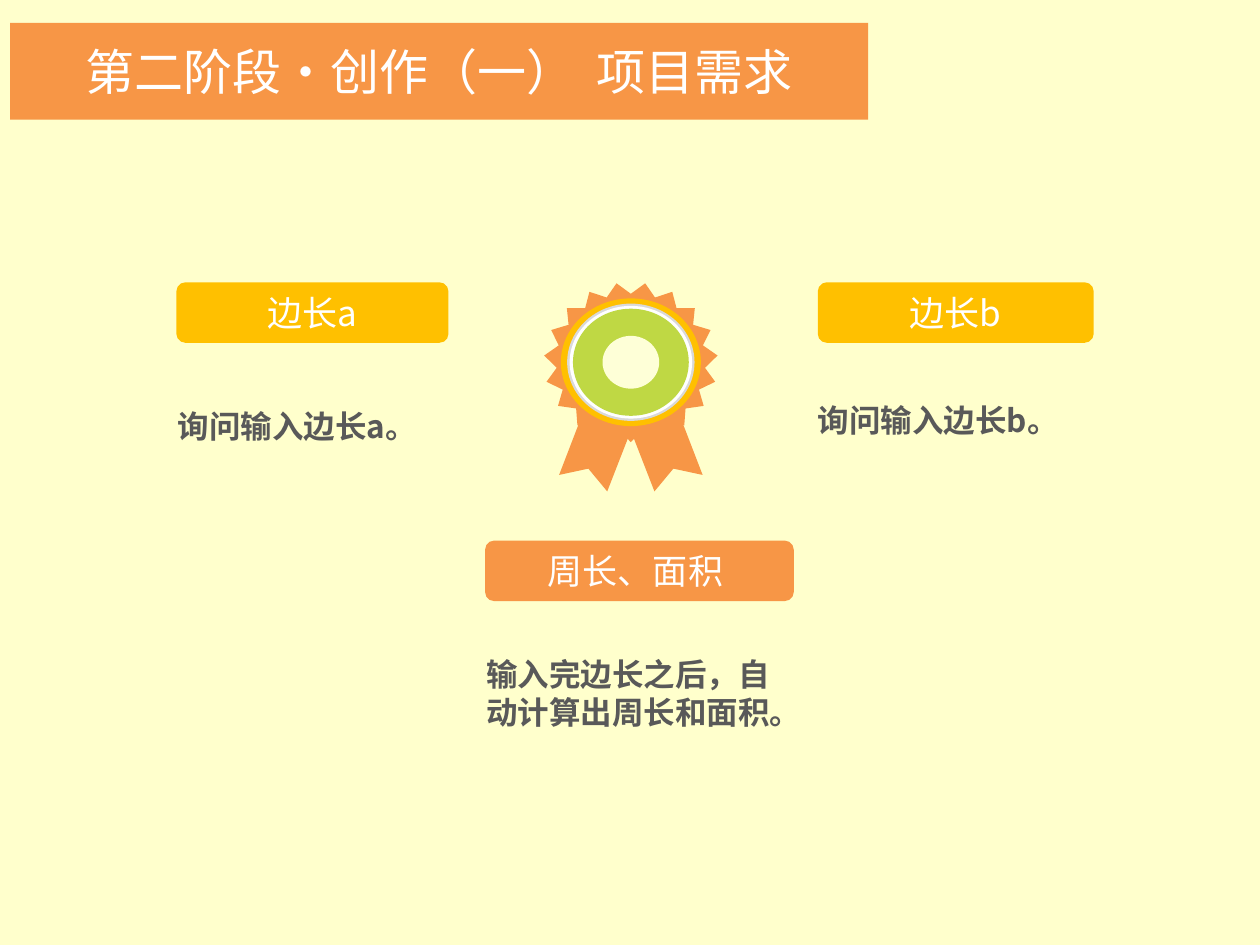
from dataclasses import dataclass, field
from math import cos, pi, sin

from lxml.etree import SubElement
from pptx import Presentation
from pptx.dml.color import RGBColor
from pptx.enum.shapes import MSO_SHAPE as Preset
from pptx.enum.text import MSO_ANCHOR as Anchor, MSO_AUTO_SIZE as AutoSize, PP_ALIGN as Align
from pptx.oxml.ns import qn
from pptx.util import Pt

COLORS = {
    "cream": "FFFFCC", "orange": "F79646", "yellow": "FFC000", "grey": "D9D9D9",
    "white": "FFFFFF", "green": "BFD844", "ivory": "FEFFD7", "text": "595959",
}


def color(name):
    return RGBColor.from_string(COLORS[name])


def write(box, text, size=18, ink="white", bold=False, align=Align.CENTER,
          anchor=Anchor.MIDDLE, inset=0, font="Noto Sans CJK SC"):
    frame = box.text_frame
    frame.word_wrap = True
    frame.auto_size = AutoSize.NONE
    frame.vertical_anchor = anchor
    frame.margin_left = frame.margin_right = Pt(inset)
    frame.margin_top = frame.margin_bottom = Pt(inset)
    para = frame.paragraphs[0]
    para.alignment = align
    span = para.add_run()
    span.text = text
    span.font.size = Pt(size)
    span.font.bold = bold
    span.font.name = font
    span.font.color.rgb = color(ink)
    SubElement(span.font._element, qn("a:ea"), typeface=font)


@dataclass
class Board:
    """The current slide and the style its elements share."""
    page: object
    corner: float = 0.15
    center: tuple = (360.5, 207)
    label_size: tuple = field(default=(20, 34.6))

    def background(self, name):
        fill = self.page.background.fill
        fill.solid()
        fill.fore_color.rgb = color(name)

    def paint(self, shape, name):
        shape.shadow.inherit = False
        shape.fill.solid()
        shape.fill.fore_color.rgb = color(name)
        shape.line.fill.background()

    def title(self, text, left, top, width, height):
        box = self.page.shapes.title
        box.left, box.top, box.width, box.height = map(Pt, (left, top, width, height))
        geometry = SubElement(box._element.spPr, qn("a:prstGeom"), prst="roundRect")
        guides = SubElement(geometry, qn("a:avLst"))
        SubElement(guides, qn("a:gd"), name="adj", fmla=f"val {self.corner * 100000:.0f}")
        box.fill.solid()
        box.fill.fore_color.rgb = color("orange")
        write(box, text, size=28, inset=4.5)

    def label(self, text, left, top, width, fill):
        size, height = self.label_size
        box = self.page.shapes.add_shape(
            Preset.ROUNDED_RECTANGLE, Pt(left), Pt(top), Pt(width), Pt(height))
        box.adjustments[0] = self.corner
        self.paint(box, fill)
        write(box, text, size=size)

    def body(self, text, left, top, width=176.4, lines=1):
        box = self.page.shapes.add_textbox(
            Pt(left), Pt(top), Pt(width), Pt(22 * lines))
        write(box, text, ink="text", bold=True, align=Align.LEFT, anchor=Anchor.TOP)

    def disc(self, radius_x, radius_y, fill):
        x, y = self.center
        shape = self.page.shapes.add_shape(
            Preset.OVAL, Pt(x - radius_x), Pt(y - radius_y),
            Pt(2 * radius_x), Pt(2 * radius_y))
        self.paint(shape, fill)

    def outline(self, offsets, fill):
        """Draw a closed polygon from offsets to the medal's centre."""
        x, y = self.center
        points = [(Pt(x + dx), Pt(y + dy)) for dx, dy in offsets]
        builder = self.page.shapes.build_freeform(*points[0], scale=1.0)
        builder.add_line_segments(points[1:], close=True)
        self.paint(builder.convert_to_shape(), fill)

    def medal(self, tips=19, radius_x=49.7, radius_y=45.7, notch=0.855):
        ribbon = [(-41, 64.4), (-23, 17.6), (5, 26.3), (-13.5, 73.8), (-24.3, 60.8)]
        for side in (1, -1):
            self.outline([(side * dx, dy) for dx, dy in ribbon], "orange")
        seal = []
        for step in range(2 * tips):
            angle = pi * step / tips
            reach = notch if step % 2 else 1
            seal.append((reach * radius_x * sin(angle), reach * radius_y * cos(angle)))
        self.outline(seal, "orange")
        for rx, ry, fill in [(40, 36.5, "yellow"), (36.4, 33.5, "grey"),
                             (35, 32.2, "white"), (33.1, 30.6, "green"),
                             (16.2, 15.1, "ivory")]:
            self.disc(rx, ry, fill)


def main():
    deck = Presentation()
    deck.slide_width, deck.slide_height = Pt(720), Pt(540)
    board = Board(deck.slides.add_slide(deck.slide_layouts[5]))
    board.background("cream")
    board.title("第二阶段·创作（一）  项目需求", 5.8, 13, 490.3, 55.4)
    board.medal()
    board.label("边长a", 100.8, 161.3, 155.5, "yellow")
    board.body("询问输入边长a。", 101.5, 232.6)
    board.label("边长b", 467.3, 161.3, 157.7, "yellow")
    board.body("询问输入边长b。", 467.3, 229)
    board.label("周长、面积 ", 277.2, 308.9, 176.4, "orange")
    board.body("输入完边长之后，自动计算出周长和面积。", 277.9, 374.4, lines=2)
    deck.save("out.pptx")


if __name__ == "__main__":
    main()
